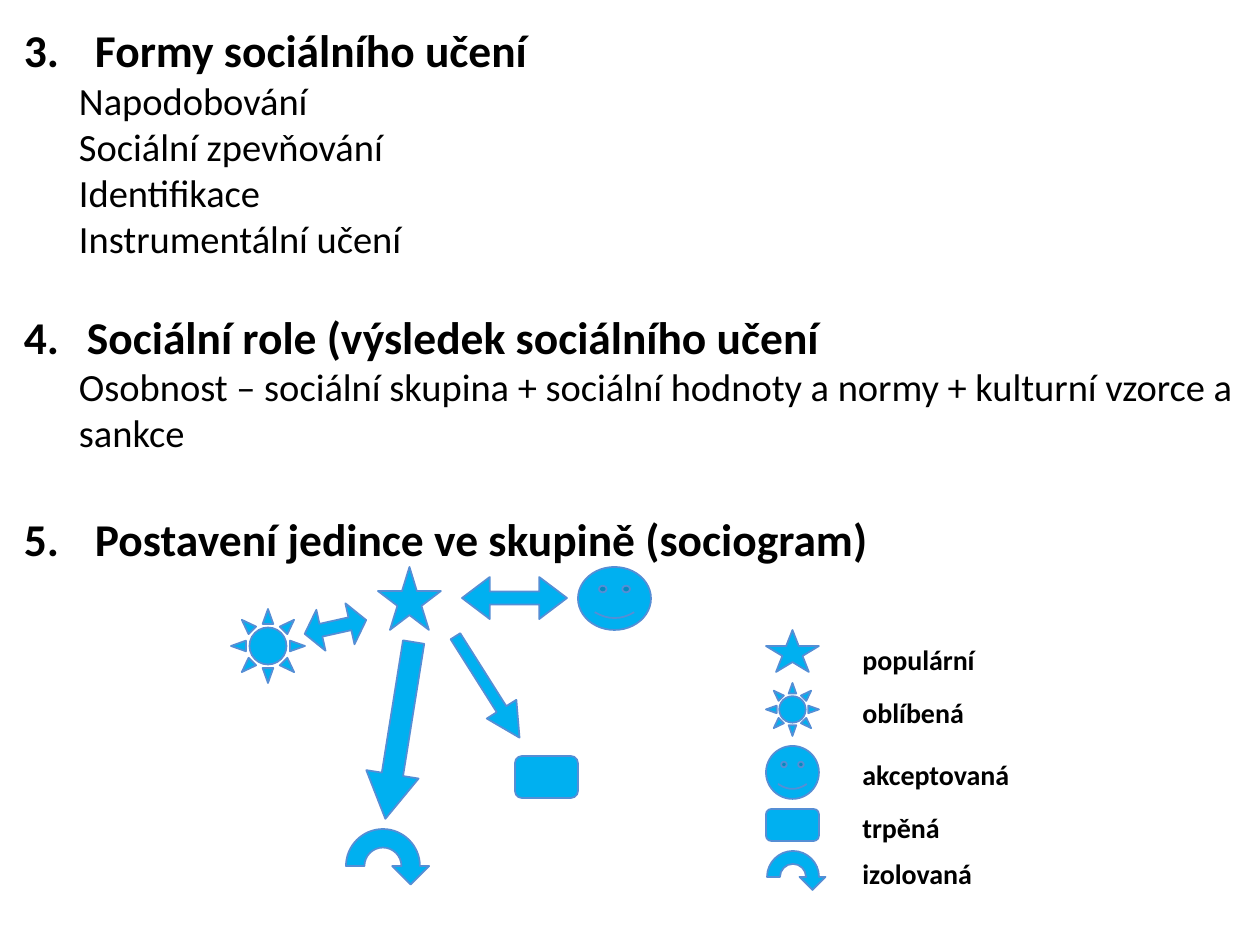
from dataclasses import dataclass
from typing import NamedTuple

from lxml.etree import SubElement
from pptx import Presentation
from pptx.dml.color import RGBColor
from pptx.enum.shapes import MSO_SHAPE
from pptx.oxml.ns import qn
from pptx.util import Emu, Pt

PX_PER_INCH = 126


def px(length: float) -> Emu:
    return Emu(round(length * 914400 / PX_PER_INCH))


@dataclass(frozen=True)
class Theme:
    font: str = "Calibri"
    text: RGBColor = RGBColor(0x00, 0x00, 0x00)
    fill: RGBColor = RGBColor(0x00, 0xB0, 0xF0)
    outline: RGBColor = RGBColor(0x55, 0x8E, 0xD5)
    outline_width: int = 1
    heading_size: int = 26
    detail_size: int = 22
    label_size: int = 16
    detail_indent: int = 55


THEME = Theme()


class Box(NamedTuple):
    left: int
    top: int
    width: int
    height: int


@dataclass(frozen=True)
class Topic:
    number: int
    heading: str
    details: tuple[str, ...]
    indent: int
    space_before: int = 0


@dataclass(frozen=True)
class Figure:
    kind: MSO_SHAPE
    box: Box
    rotation: float = 0
    adjustments: tuple[float, ...] = ()


@dataclass(frozen=True)
class Hook:
    """Half ring ending in an arrowhead, sized by its outer radius."""
    center_x: int
    center_y: int
    radius: int


@dataclass(frozen=True)
class Label:
    text: str
    top: int
    width: int


TOPICS = (
    Topic(3, "Formy sociálního učení",
          ("Napodobování", "Sociální zpevňování", "Identifikace", "Instrumentální učení"), 71),
    Topic(4, "Sociální role (výsledek sociálního učení",
          ("Osobnost – sociální skupina + sociální hodnoty a normy + kulturní vzorce a sankce",),
          63, 27),
    Topic(5, "Postavení jedince ve skupině (sociogram)", (), 71, 32),
)

RELATIONS = (
    Figure(MSO_SHAPE.LEFT_RIGHT_ARROW, Box(462, 577, 105, 42), 0, (0.312, 0.66)),
    Figure(MSO_SHAPE.LEFT_RIGHT_ARROW, Box(304, 606, 63, 42), 347.4, (0.312, 0.396)),
    Figure(MSO_SHAPE.DOWN_ARROW, Box(373, 641, 53, 179), 9.1, (0.406, 0.85)),
    Figure(MSO_SHAPE.DOWN_ARROW, Box(470, 627, 35, 120), 327.7, (0.323, 0.962)),
)

MEMBERS = (
    Figure(MSO_SHAPE.STAR_5_POINT, Box(378, 567, 63, 63)),
    Figure(MSO_SHAPE.SUN, Box(231, 609, 74, 74)),
    Figure(MSO_SHAPE.SMILEY_FACE, Box(578, 567, 73, 63)),
    Figure(MSO_SHAPE.ROUNDED_RECTANGLE, Box(515, 756, 63, 42)),
)
ISOLATED_MEMBER = Hook(383, 866, 37)

LEGEND_LEFT, LEGEND_WIDTH = 766, 53
LEGEND_SYMBOLS = tuple(
    Figure(member.kind, Box(LEGEND_LEFT, top, LEGEND_WIDTH, height))
    for member, (top, height) in zip(MEMBERS, ((630, 42), (683, 53), (746, 53), (809, 32)))
)
LEGEND_ISOLATED = Hook(793, 877, 26)

LABEL_LEFT, LABEL_HEIGHT = 850, 47
LABELS = (
    Label("populární", 636, 140),
    Label("oblíbená", 689, 160),
    Label("akceptovaná", 751, 174),
    Label("trpěná", 804, 103),
    Label("izolovaná", 850, 136),
)


def set_font(paragraph, size: int, bold: bool) -> None:
    font = paragraph.font
    font.name, font.size, font.bold = THEME.font, Pt(size), bold
    font.color.rgb = THEME.text


def paint(shape) -> None:
    shape.shadow.inherit = False
    shape.fill.solid()
    shape.fill.fore_color.rgb = THEME.fill
    shape.line.color.rgb = THEME.outline
    shape.line.width = Pt(THEME.outline_width)


def write_line(paragraph, text: str, indent: int, number: int | None = None,
               space_before: int = 0) -> None:
    paragraph.text = text
    paragraph.space_before = Pt(space_before)
    properties = paragraph._p.get_or_add_pPr()
    properties.set("marL", str(px(indent)))
    is_heading = number is not None
    if is_heading:
        properties.set("indent", str(-px(indent)))
        SubElement(properties, qn("a:buAutoNum"), type="arabicPeriod", startAt=str(number))
    else:
        paragraph.level = 1
        properties.set("indent", "0")
    set_font(paragraph, THEME.heading_size if is_heading else THEME.detail_size, is_heading)


def add_outline(slide, topics: tuple[Topic, ...], box: Box) -> None:
    frame = slide.shapes.add_textbox(*map(px, box)).text_frame
    frame.word_wrap = True
    frame.margin_left = frame.margin_right = frame.margin_top = frame.margin_bottom = 0
    for position, topic in enumerate(topics):
        heading = frame.add_paragraph() if position else frame.paragraphs[0]
        write_line(heading, topic.heading, topic.indent, topic.number, topic.space_before)
        for detail in topic.details:
            write_line(frame.add_paragraph(), detail, THEME.detail_indent)


def add_figure(slide, figure: Figure) -> None:
    shape = slide.shapes.add_shape(figure.kind, *map(px, figure.box))
    shape.rotation = figure.rotation
    for position, value in enumerate(figure.adjustments):
        shape.adjustments[position] = value
    paint(shape)


def half_circle(radius: float, start_side: int) -> list[tuple[float, float]]:
    """Bezier points over the top, from one side (1 right, -1 left) to the other."""
    pull = 0.55
    unit = [(1, -pull), (pull, -1), (0, -1), (-pull, -1), (-1, -pull), (-1, 0)]
    return [(start_side * radius * x, radius * y) for x, y in unit]


def add_hook(slide, hook: Hook) -> None:
    head = [(1.25, 0), (0.75, 0.5), (0.25, 0)]
    outline = [(0.5, 0), *half_circle(0.5, 1), (-1, 0), *half_circle(1, -1), *head]
    points = [(px(hook.center_x + hook.radius * x), px(hook.center_y + hook.radius * y))
              for x, y in outline]
    builder = slide.shapes.build_freeform(*points[0])
    builder.add_line_segments(points[1:], close=True)
    shape = builder.convert_to_shape()

    # Turn each three segments of the two half circles into one curve
    segments = list(shape._element.iter(qn("a:lnTo")))
    for first in (0, 3, 7, 10):
        curve = segments[first]
        bezier = curve.makeelement(qn("a:cubicBezTo"))
        curve.addprevious(bezier)
        for segment in segments[first:first + 3]:
            bezier.append(segment[0])
            segment.getparent().remove(segment)
    paint(shape)


def add_label(slide, label: Label) -> None:
    box = Box(LABEL_LEFT, label.top, label.width, LABEL_HEIGHT)
    frame = slide.shapes.add_textbox(*map(px, box)).text_frame
    frame.word_wrap = False
    frame.text = label.text
    set_font(frame.paragraphs[0], THEME.label_size, True)


def main() -> None:
    presentation = Presentation()
    presentation.slide_width, presentation.slide_height = px(1260), px(945)
    slide = presentation.slides.add_slide(presentation.slide_layouts[6])

    # Numbered topics
    add_outline(slide, TOPICS, Box(24, 22, 1211, 903))

    # Sociogram and legend symbols
    for figure in RELATIONS + MEMBERS + LEGEND_SYMBOLS:
        add_figure(slide, figure)
    for hook in (ISOLATED_MEMBER, LEGEND_ISOLATED):
        add_hook(slide, hook)

    # Legend wording
    for label in LABELS:
        add_label(slide, label)

    presentation.save("out.pptx")


if __name__ == "__main__":
    main()
